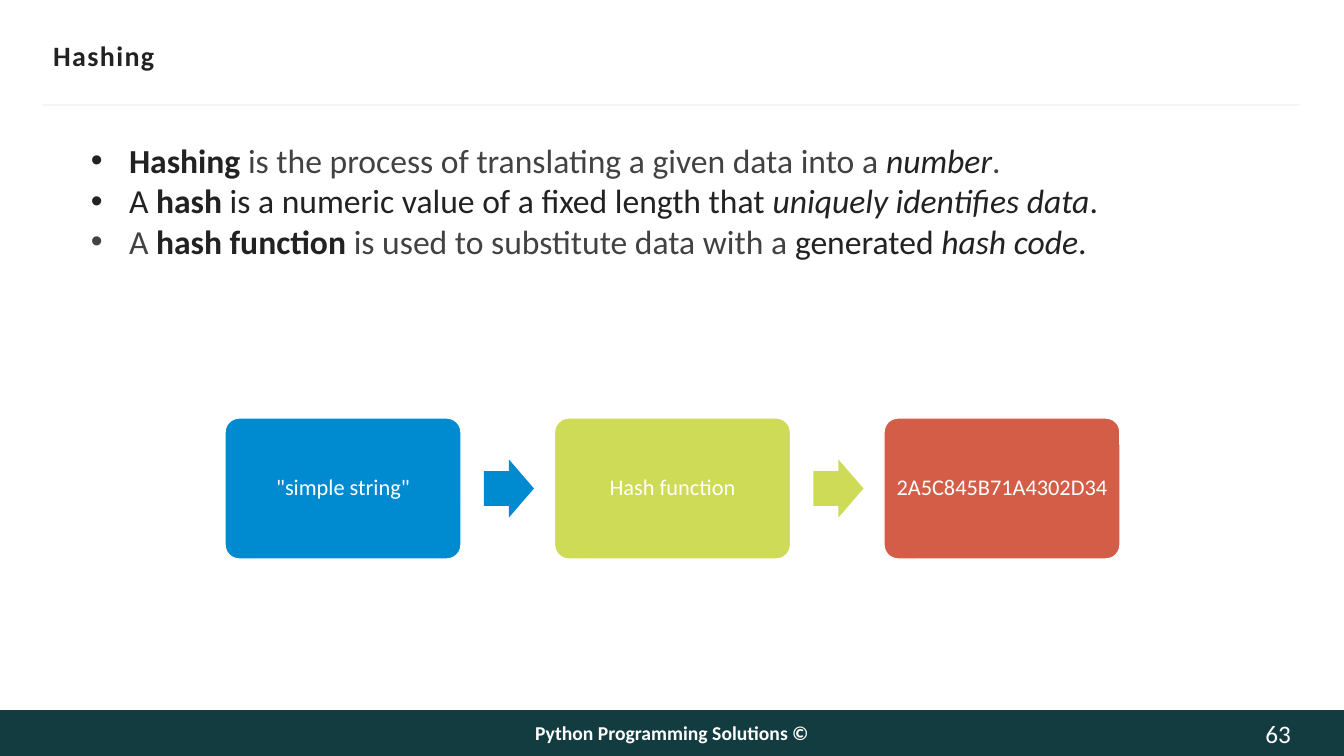
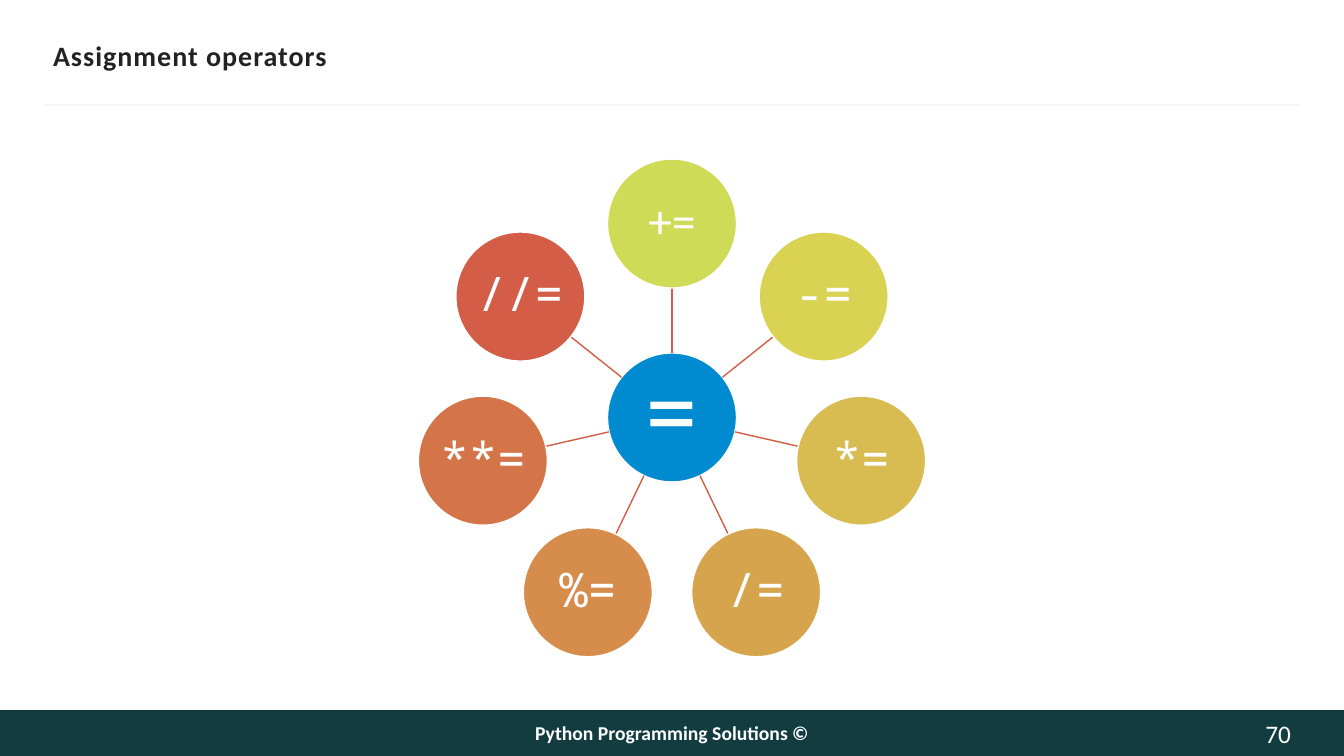
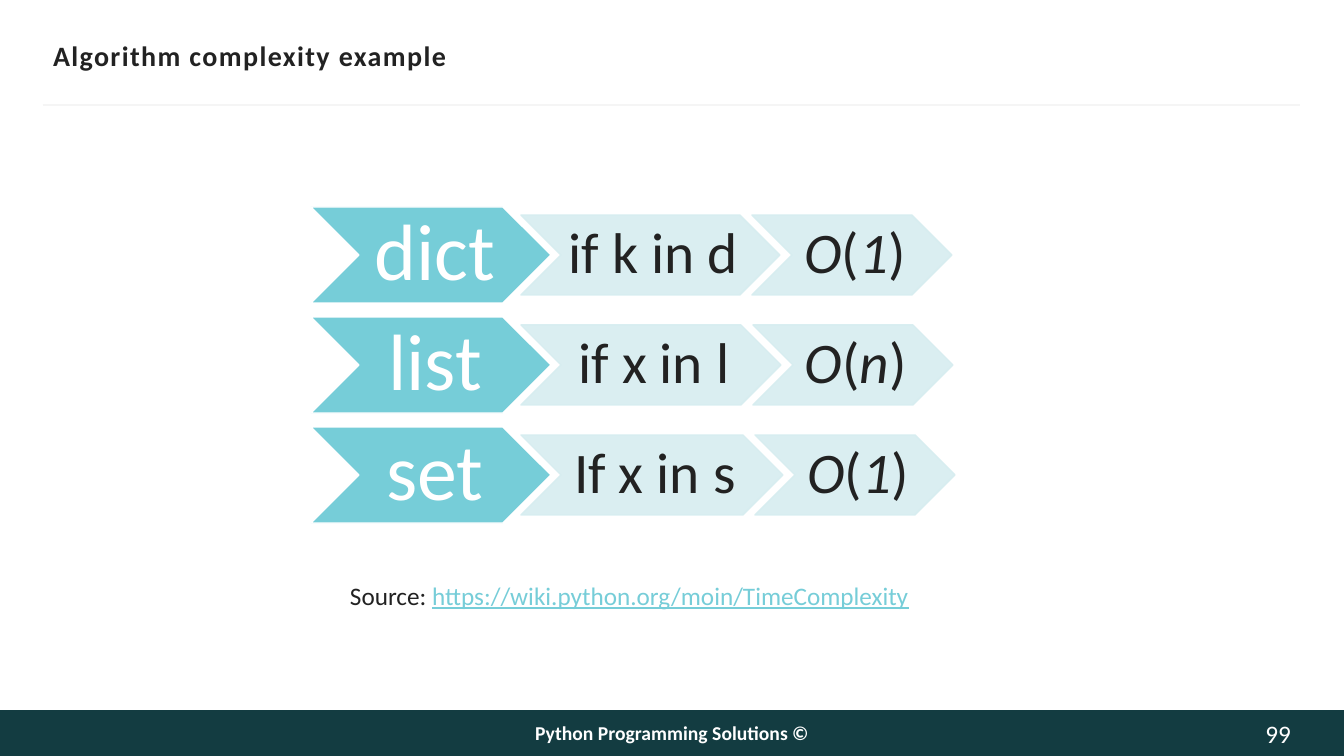
import math

import lxml.etree
import pptx
import pptx.dml.color
import pptx.enum.shapes
import pptx.enum.text
import pptx.oxml.ns
import pptx.util

RGB = pptx.dml.color.RGBColor
KIND = pptx.enum.shapes.MSO_SHAPE
ALIGN = pptx.enum.text.PP_ALIGN
ANCHOR = pptx.enum.text.MSO_ANCHOR
FIT = pptx.enum.text.MSO_AUTO_SIZE
qn = pptx.oxml.ns.qn

# Page of 1344 x 756 px
WIDE, HIGH = 1344, 756
SCALE = 12192000 / WIDE

# Colours
WHITE = RGB(0xFF, 0xFF, 0xFF)
PALE = RGB(0xFE, 0xFE, 0xFE)
INK = RGB(0x22, 0x22, 0x22)
GREY = RGB(0x42, 0x42, 0x42)
RULE = RGB(0xF5, 0xF5, 0xF5)
TEAL = RGB(0x13, 0x3C, 0x41)
AQUA = RGB(0x76, 0xCD, 0xD8)
MIST = RGB(0xD6, 0xED, 0xF0)
BLUE = RGB(0x00, 0x8A, 0xCF)
LIME = RGB(0xCE, 0xDB, 0x56)
LEMON = RGB(0xDA, 0xD2, 0x53)
GOLD = RGB(0xD8, 0xBB, 0x51)
AMBER = RGB(0xD7, 0xA4, 0x4E)
ORANGE = RGB(0xD6, 0x8D, 0x4C)
RUST = RGB(0xD4, 0x75, 0x49)
RED = RGB(0xD3, 0x5D, 0x47)

# Text formats
SANS, MONO = "Calibri", "Noto Sans Mono"
TITLE = {"size": 20, "bold": True, "color": INK}
BODY = {"size": 24, "color": INK}
FOOT = {"size": 14, "bold": True, "color": WHITE}
PAGE = {"size": 18, "color": PALE}
NOTE = {"size": 18, "color": INK}
LINK = {"color": AQUA, "underline": True}
STEP = {"size": 16, "color": WHITE}
HUB = {"size": 65, "name": MONO, "color": WHITE}
SIGN = {"size": 34, "name": MONO, "color": WHITE}
HEAD = {"size": 57, "color": WHITE}
CELL = {"size": 41, "color": INK}
SOFT = {"color": GREY}
BOLD = {"bold": True}
SLANT = {"italic": True}


def px(length):
    return pptx.util.Emu(round(length * SCALE))


def place(item, box):
    names = ("left", "top", "width", "height")
    for name, value in zip(names, box):
        setattr(item, name, px(value))


def style(font, form):
    for name, value in {"name": SANS, **form}.items():
        if name == "color":
            font.color.rgb = value
        else:
            setattr(font, name, pptx.util.Pt(value) if name == "size" else value)


def write(frame, lines, form, inset=(10, 5, 10, 5), **looks):
    """Fill a frame; each line is a list of (text, format) runs."""
    sides = ("left", "top", "right", "bottom")
    for side, value in zip(sides, inset):
        setattr(frame, "margin_" + side, px(value))
    frame.auto_size = FIT.NONE
    frame.word_wrap = looks.pop("wrap", True)
    frame.vertical_anchor = looks.pop("anchor", ANCHOR.MIDDLE)
    for index, line in enumerate(lines):
        para = frame.add_paragraph() if index else frame.paragraphs[0]
        for name, value in looks.items():
            setattr(para, name, value)
        for text, extra in line:
            run = para.add_run()
            run.text = text
            style(run.font, {**form, **extra})


def label(slide, box, runs, form, **looks):
    item = slide.shapes.add_textbox(*map(px, box))
    write(item.text_frame, [runs], form, **looks)


def block(slide, kind, box, fill, edge=None, adjust=()):
    item = slide.shapes.add_shape(kind, *map(px, box))
    item.shadow.inherit = False
    item.fill.solid()
    item.fill.fore_color.rgb = fill
    if edge is None:
        item.line.fill.background()
    else:
        item.line.color.rgb = edge
        item.line.width = pptx.util.Pt(1)
    for index, value in enumerate(adjust):
        item.adjustments[index] = value
    return item


def caption(item, runs, form, inset):
    write(item.text_frame, [runs], form, inset, wrap=False,
          alignment=ALIGN.CENTER, line_spacing=0.9)


def stroke(slide, start, end, color, width):
    straight = pptx.enum.shapes.MSO_CONNECTOR.STRAIGHT
    item = slide.shapes.add_connector(straight, *map(px, (*start, *end)))
    item.line.color.rgb = color
    item.line.width = pptx.util.Pt(width)
    props = item.element.find(qn("p:spPr"))
    lxml.etree.SubElement(props, qn("a:effectLst"))
    return item


def fade(item, percent):
    for color in item.element.find(qn("p:spPr")).iter(qn("a:srgbClr")):
        alpha = lxml.etree.SubElement(color, qn("a:alpha"))
        alpha.set("val", str(percent * 1000))


def master(deck, slide):
    """Move the band and the title rule to the slide master."""
    parts = (
        block(slide, KIND.RECTANGLE, (0, 710, WIDE, 46), TEAL),
        stroke(slide, (43, 105), (1300, 105), RULE, 1.5),
    )
    for number, part in enumerate(parts, 20):
        next(part.element.iter(qn("p:cNvPr"))).set("id", str(number))
        deck.slide_master.shapes.element.append(part.element)


def page(deck, layout, title, number, gap=100):
    """Add a slide with its title, footer and page number."""
    slide = deck.slides.add_slide(deck.slide_layouts[layout])
    head = slide.shapes.title
    place(head, (53, 33, 1239, 44))
    write(head.text_frame, [[(title, {})]], TITLE, (0, 5, 0, 5),
          alignment=ALIGN.LEFT)
    for props in head.element.iter(qn("a:rPr")):
        props.set("spc", str(gap))
    label(slide, (353, 710, 638, 45),
          [("Python Programming Solutions ©", {})], FOOT,
          alignment=ALIGN.CENTER)
    label(slide, (1225, 710, 66, 46), [(str(number), {})], PAGE,
          inset=(0, 0, 0, 0), alignment=ALIGN.RIGHT)
    return slide


def points(slide, box, lines):
    """Bulleted list in the body placeholder."""
    body = slide.placeholders[1]
    place(body, box)
    write(body.text_frame, lines, BODY, anchor=ANCHOR.TOP,
          space_before=pptx.util.Pt(0))
    for props in body.element.iter(qn("a:pPr")):
        props.set("marL", str(px(38)))
        props.set("indent", str(-px(38)))
        lxml.etree.SubElement(props, qn("a:buChar")).set("char", "•")


def flow(slide, box, steps):
    """Row of boxes with an arrow between neighbours."""
    left, top, width, height = box
    wide = 236
    pitch = (width - wide) / (len(steps) - 1)
    for index, (text, color) in enumerate(steps):
        x = left + index * pitch
        item = block(slide, KIND.ROUNDED_RECTANGLE, (x, top, wide, height),
                     color, WHITE, [0.1])
        caption(item, [(text, {})], STEP, (7, 7, 7, 7))
        if index < len(steps) - 1:
            spot = (x + wide + 23, top + (height - 58) / 2, 50, 58)
            block(slide, KIND.RIGHT_ARROW, spot, color, adjust=[0.6, 0.5])


def wheel(slide, box, hub, signs):
    """Hub circle with equal circles spaced around it."""
    left, top, width, size = box
    reach = 194
    mid = (left + width / 2, top + size / 2 + reach)

    def polar(angle, far):
        return mid[0] + far * math.sin(angle), mid[1] - far * math.cos(angle)

    def disc(spot, text, color, form, inset):
        x, y = spot
        item = block(slide, KIND.OVAL, (x - size / 2, y - size / 2, size, size),
                     color, WHITE)
        caption(item, [(text, {})], form, (inset,) * 4)

    disc(mid, hub, BLUE, HUB, 5)
    for index, (text, color, font) in enumerate(signs):
        angle = math.tau * index / len(signs)
        stroke(slide, polar(angle, size / 2), polar(angle, reach - size / 2),
               RED, 1)
        disc(polar(angle, reach), text, color, {**SIGN, "name": font}, 2)


def chain(slide, box, name, test, cost, wide):
    """Row of three chevrons: type, test and cost."""
    left, top, width, height = box
    item = block(slide, KIND.CHEVRON, box, AQUA, WHITE)
    caption(item, [(name, {})], HEAD, (8, 4, 0, 4))
    x = left + width - 30
    order = [("O", SLANT), ("(", {}), (cost, SLANT), (")", {})]
    for span, runs in ((wide, [(test, {})]), (200, order)):
        item = block(slide, KIND.CHEVRON, (x, top + 8, span, height - 16),
                     MIST, MIST)
        fade(item, 90)
        caption(item, runs, CELL, (6, 3, 0, 3))
        x += span - 28


def main():
    deck = pptx.Presentation()
    deck.slide_width, deck.slide_height = px(WIDE), px(HIGH)

    # Hashing
    slide = page(deck, 1, "Hashing", 63)
    master(deck, slide)
    points(slide, (81, 135, 1171, 132), [
        [("Hashing", BOLD),
         (" is the process of translating a given data into a ", SOFT),
         ("number", SLANT), (".", SOFT)],
        [("A ", {}), ("hash ", BOLD),
         ("is a numeric value of a fixed length that ", {}),
         ("uniquely identifies data", SLANT), (".", {})],
        [("A ", SOFT), ("hash function ", BOLD),
         ("is used to substitute data with a ", SOFT),
         ("generated ", {}), ("hash code", SLANT), (".", {})],
    ])
    flow(slide, (225, 418, 895, 141), [
        ('"simple string"', BLUE),
        ("Hash function", LIME),
        ("2A5C845B71A4302D34", RED),
    ])

    # Assignment operators
    slide = page(deck, 5, "Assignment operators", 70, 70)
    wheel(slide, (418, 159, 508, 129), "=", [
        ("+=", LIME, SANS), ("-=", LEMON, MONO), ("*=", GOLD, MONO),
        ("/=", AMBER, MONO), ("%=", ORANGE, MONO), ("**=", RUST, MONO),
        ("//=", RED, MONO),
    ])

    # Algorithm complexity
    slide = page(deck, 5, "Algorithm complexity example", 99)
    rows = [
        ("dict", "if k in d", "1", 259),
        ("list", "if x in l", "n", 260),
        ("set", "If x in s", "1", 262),
    ]
    for index, row in enumerate(rows):
        chain(slide, (311, 207 + 110 * index, 240, 96), *row)
    label(slide, (340, 575, 892, 40),
          [("Source: ", {}),
           ("https://wiki.python.org/moin/TimeComplexity", LINK)],
          NOTE, anchor=ANCHOR.TOP)

    deck.save("out.pptx")


if __name__ == "__main__":
    main()
